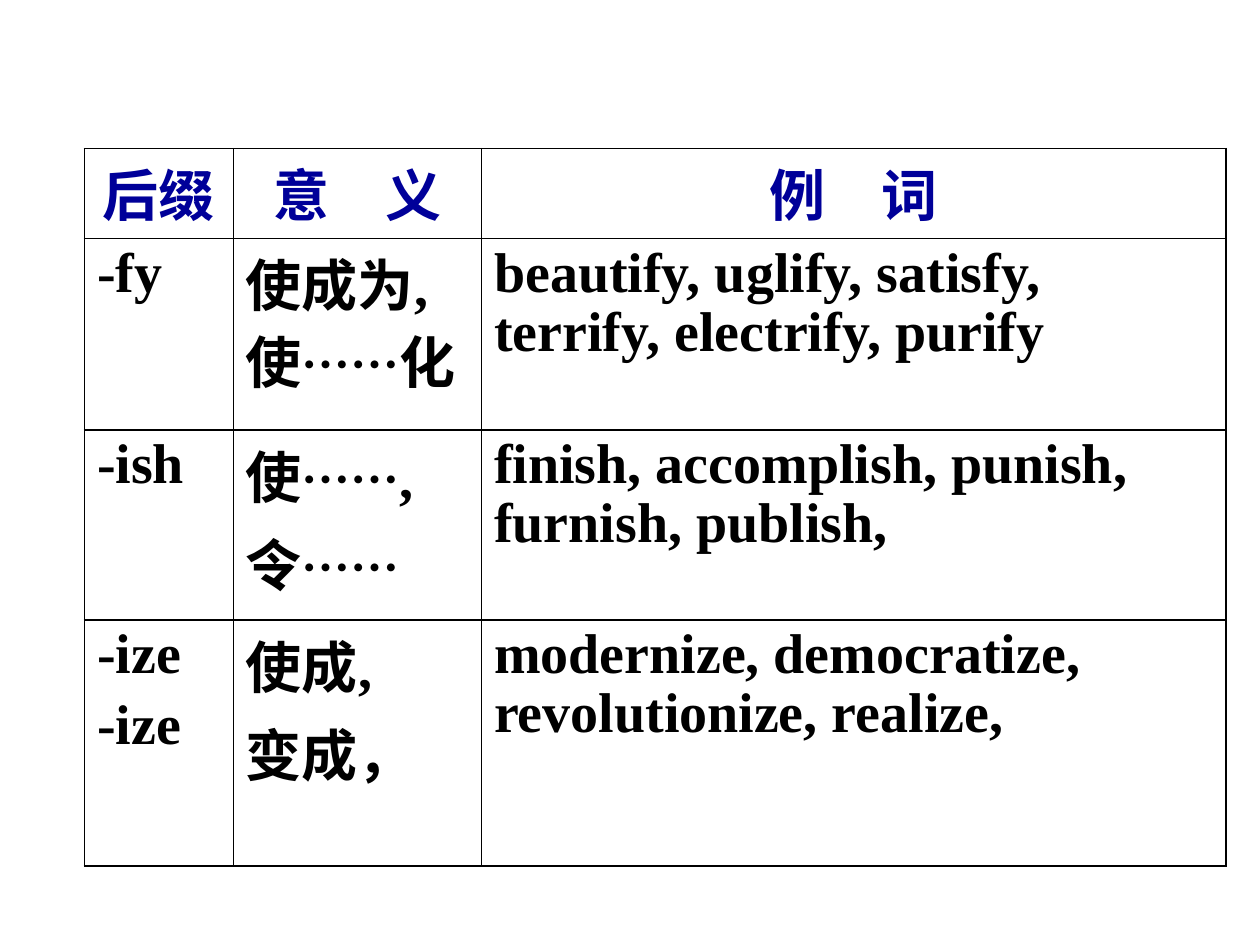
from itertools import groupby

from lxml import etree
from pptx import Presentation
from pptx import util as u
from pptx.dml.color import RGBColor
from pptx.enum import text
from pptx.oxml.ns import qn

COLORS = {"heading": "000099", "body": "000000", "border": "000000"}
LATIN_FONT = "Times New Roman"
CHINESE_FONT = "Noto Sans CJK SC"
ELLIPSIS = "…"

COLUMN_SHARES = [3, 5, 15]
ROW_SHARES = [61, 152, 151, 195]
SUFFIX_ROWS = [
    ["后缀", "意　义", "例　词"],
    ["-fy", "使成为,使……化", "beautify, uglify, satisfy, terrify, electrify, purify"],
    ["-ish", "使……,\n令……", "finish, accomplish, punish, furnish, publish,"],
    ["-ize\n-ize", "使成,\n变成，", "modernize, democratize, revolutionize, realize,"],
]


def set_borders(cell):
    """Draw a thin line on all four sides of the cell."""
    properties = cell._tc.get_or_add_tcPr()
    for position, side in enumerate(("lnL", "lnR", "lnT", "lnB")):
        line = etree.Element(qn(f"a:{side}"), w=str(u.Pt(1)))
        fill = etree.SubElement(line, qn("a:solidFill"))
        etree.SubElement(fill, qn("a:srgbClr"), val=COLORS["border"])
        properties.insert(position, line)


def add_span(para, words, size, latin, color):
    span = para.add_run()
    span.text = words
    font = span.font
    font.size, font.bold, font.name = u.Pt(size), True, latin
    font.color.rgb = RGBColor.from_string(color)
    east_asian = etree.Element(qn("a:ea"), typeface=CHINESE_FONT)
    span._r.get_or_add_rPr().find(qn("a:latin")).addnext(east_asian)


def fill_cell(cell, content, heading):
    cell.fill.background()
    set_borders(cell)
    cell.vertical_anchor = text.MSO_ANCHOR.MIDDLE if heading else text.MSO_ANCHOR.TOP
    color = COLORS["heading" if heading else "body"]
    frame = cell.text_frame
    for index, line in enumerate(content.split("\n")):
        para = frame.add_paragraph() if index else frame.paragraphs[0]
        para.alignment = text.PP_ALIGN.CENTER if heading else text.PP_ALIGN.LEFT
        para.line_spacing = 0.95
        if index:
            para.space_before = u.Pt(6.4)
        for is_dots, letters in groupby(line, lambda letter: letter == ELLIPSIS):
            size, latin = (28, CHINESE_FONT) if is_dots else (32, LATIN_FONT)
            add_span(para, "".join(letters), size, latin, color)


def add_suffix_table(page, left, top, width, height):
    table = page.shapes.add_table(
        len(ROW_SHARES), len(COLUMN_SHARES), left, top, width, height
    ).table
    table.first_row = table.horz_banding = False
    for column, share in zip(table.columns, COLUMN_SHARES):
        column.width = int(width * share / sum(COLUMN_SHARES))
    for row, share in zip(table.rows, ROW_SHARES):
        row.height = int(height * share / sum(ROW_SHARES))
    for row_index, contents in enumerate(SUFFIX_ROWS):
        for column_index, content in enumerate(contents):
            fill_cell(table.cell(row_index, column_index), content, row_index == 0)


def main():
    deck = Presentation()
    deck.slide_width, deck.slide_height = u.Inches(10), u.Inches(7.5)
    page = deck.slides.add_slide(deck.slide_layouts[6])
    add_suffix_table(page, u.Inches(0.67), u.Inches(1.18), u.Inches(9.06), u.Inches(5.59))
    deck.save("out.pptx")


if __name__ == "__main__":
    main()
